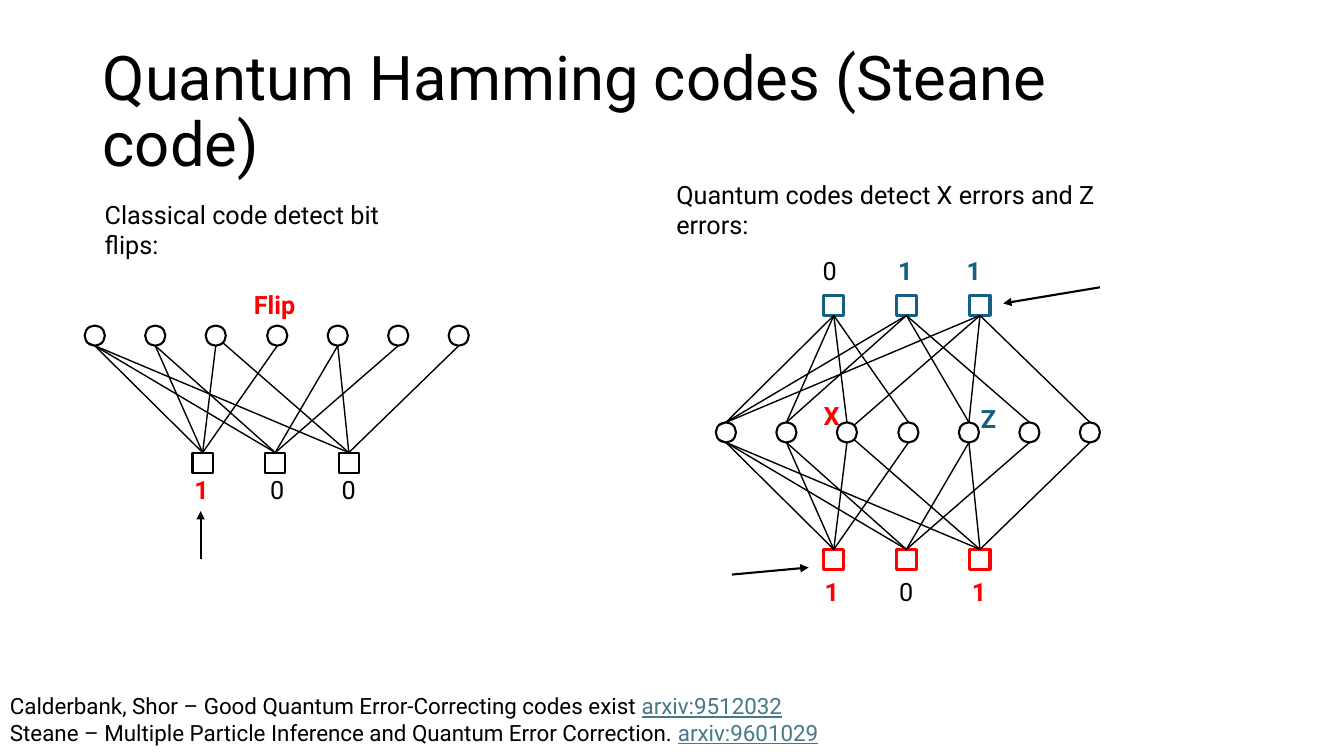
from dataclasses import dataclass

from lxml import etree
from pptx import Presentation
from pptx import util as u
from pptx.dml.color import RGBColor
from pptx.enum import shapes, text
from pptx.oxml.ns import qn


@dataclass(frozen=True)
class Theme:
    font: str = "Roboto"
    ink: str = "000000"
    paper: str = "FFFFFF"
    red: str = "FF0000"
    blue: str = "156082"
    link: str = "467886"
    title: int = 44
    body: int = 18
    reference: int = 16
    edge: float = 1
    outline: float = 1.5
    check: float = 2.25


THEME = Theme()
NODE = 20
BIT_STEP = 60.2
CHECK_STEP = 72.5
CHECK_INSET = 107
PARITY = [(0, 1, 2, 3), (0, 1, 4, 5), (0, 2, 4, 6)]
OFF_CENTRE = {(2, 0): -7, (2, 2): 7}


def px(value):
    return u.Emu(round(value) * 9144)


class TannerSlide:
    def __init__(self, deck, theme):
        self.theme = theme
        self.shapes = deck.slides.add_slide(deck.slide_layouts[6]).shapes

    def text(self, box, lines, size=None, spacing=None, anchor=text.MSO_ANCHOR.TOP):
        frame = self.shapes.add_textbox(*map(px, box)).text_frame
        frame.word_wrap = True
        frame.vertical_anchor = anchor
        for index, line in enumerate(lines):
            paragraph = frame.add_paragraph() if index else frame.paragraphs[0]
            if spacing:
                paragraph.line_spacing = spacing
            for wording, color, bold, underline in line:
                run = paragraph.add_run()
                run.text = wording
                run.font.name = self.theme.font
                run.font.size = u.Pt(size or self.theme.body)
                run.font.bold = bold
                run.font.underline = underline
                run.font.color.rgb = RGBColor.from_string(color)

    def label(self, box, wording, color=None):
        self.text(box, [[(wording, color or self.theme.ink, color is not None, False)]])

    def node(self, preset, x, y, color, width):
        node = self.shapes.add_shape(preset, px(x), px(y), px(NODE), px(NODE))
        node.shadow.inherit = False
        node.fill.solid()
        node.fill.fore_color.rgb = RGBColor.from_string(self.theme.paper)
        node.line.color.rgb = RGBColor.from_string(color)
        node.line.width = u.Pt(width)
        return node

    def line(self, start, end, width):
        line = self.shapes.add_connector(
            shapes.MSO_CONNECTOR.STRAIGHT, *map(px, (*start, *end)))
        line.line.color.rgb = RGBColor.from_string(self.theme.ink)
        line.line.width = u.Pt(width)
        etree.SubElement(line._element.spPr, qn("a:effectLst"))
        return line

    def arrow(self, start, end):
        arrow = self.line(start, end, self.theme.outline)
        outline = arrow._element.spPr.find(qn("a:ln"))
        etree.SubElement(outline, qn("a:tailEnd"), type="triangle")

    def bits(self, left, top):
        for bit in range(7):
            self.node(shapes.MSO_SHAPE.OVAL, left + BIT_STEP * bit, top,
                      self.theme.ink, self.theme.outline)

    def checks(self, left, bit_top, check_top, color, width):
        above = check_top < bit_top
        side = 2 if above else 0
        check_edge = check_top + NODE if above else check_top
        bit_edge = bit_top if above else bit_top + NODE
        inward = 3 if above else -3
        for index, connected in enumerate(PARITY):
            x = int(left + CHECK_INSET + CHECK_STEP * index)
            check = self.node(shapes.MSO_SHAPE.RECTANGLE, x, check_top, color, width)
            for bit in connected:
                shift = OFF_CENTRE.get((index, bit), 0)
                bit_x = left + BIT_STEP * bit + NODE / 2 + shift
                bit_y = bit_edge + (inward if shift else 0)
                edge = self.line((x + NODE / 2, check_edge), (bit_x, bit_y),
                                 self.theme.edge)
                edge.begin_connect(check, side)

    def syndrome(self, lefts, top, values, color):
        for left, value in zip(lefts, values):
            self.label((left, top, 36, 40), value, color if value == "1" else None)


def main():
    deck = Presentation()
    deck.slide_width, deck.slide_height = px(1333), px(750)
    slide = TannerSlide(deck, THEME)

    slide.text((92, 40, 1071, 145),
               [[("Quantum Hamming codes (Steane code)", THEME.ink, False, False)]],
               THEME.title, 0.9, text.MSO_ANCHOR.MIDDLE)

    slide.label((94, 193, 321, 40), "Classical code detect bit flips:")
    slide.bits(84, 323)
    slide.checks(84, 323, 449, THEME.ink, THEME.outline)
    slide.label((242, 282, 73, 40), "Flip", THEME.red)
    slide.syndrome((183, 258, 329), 466, "100", THEME.red)
    slide.arrow((199, 555), (199, 507))

    slide.label((661, 173, 476, 40), "Quantum codes detect X errors and Z errors:")
    slide.bits(710, 419)
    slide.checks(710, 419, 293, THEME.blue, THEME.check)
    slide.checks(710, 419, 545, THEME.red, THEME.check)
    slide.label((807, 392, 34, 40), "X", THEME.red)
    slide.label((963, 395, 32, 40), "Z", THEME.blue)
    slide.syndrome((806, 881, 949), 248, "011", THEME.blue)
    slide.syndrome((808, 882, 954), 567, "101", THEME.red)
    slide.arrow((726, 570), (802, 563))
    slide.arrow((1091, 285), (995, 301))

    references = [
        ("Calderbank, Shor – Good Quantum Error-Correcting codes exist ",
         "arxiv:9512032"),
        ("Steane – Multiple Particle Inference and Quantum Error Correction. ",
         "arxiv:9601029"),
    ]
    slide.text((0, 682, 833, 68),
               [[(work, THEME.ink, False, False), (paper, THEME.link, False, True)]
                for work, paper in references], THEME.reference)

    deck.save("out.pptx")


if __name__ == "__main__":
    main()
